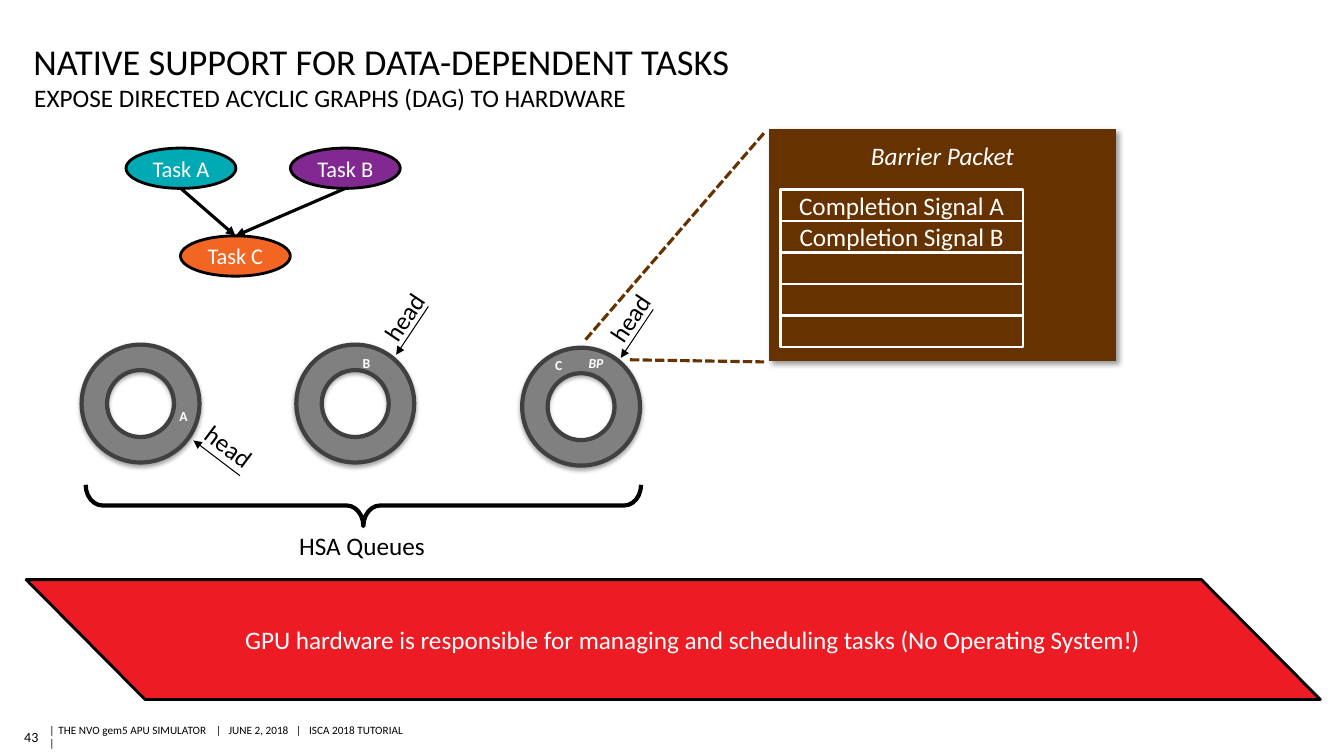
from lxml.etree import SubElement
from pptx import Presentation
from pptx.dml.color import RGBColor
from pptx.enum.dml import MSO_LINE
from pptx.enum.shapes import MSO_CONNECTOR, MSO_SHAPE
from pptx.enum.text import MSO_ANCHOR, MSO_AUTO_SIZE, PP_ALIGN
from pptx.oxml.ns import qn
from pptx.util import Pt

BLACK, WHITE, BROWN = "000000", "FFFFFF", "663300"
GREY, DARK_GREY, RED = "808080", "404040", "ED1C24"


def rgb(value):
    return RGBColor.from_string(value)


def put_text(sp, text, size=18, color=BLACK, bold=False, italic=False,
             align=PP_ALIGN.LEFT, anchor=MSO_ANCHOR.TOP,
             insets=(7.2, 3.6, 7.2, 3.6), wrap=True, tabs=()):
    tf = sp.text_frame
    tf.auto_size = MSO_AUTO_SIZE.NONE
    tf.word_wrap = wrap
    tf.vertical_anchor = anchor
    (tf.margin_left, tf.margin_top,
     tf.margin_right, tf.margin_bottom) = map(Pt, insets)
    p = tf.paragraphs[0]
    p.text = text
    p.alignment = align
    if tabs:
        tab_list = SubElement(p._p.get_or_add_pPr(), qn("a:tabLst"))
        for pos in tabs:
            SubElement(tab_list, qn("a:tab"), pos=str(Pt(pos)), algn="l")
    for r in p.runs:
        r.font.name = "Calibri"
        r.font.size = Pt(size)
        r.font.bold = bold
        r.font.italic = italic
        r.font.color.rgb = rgb(color)


class Deck:
    """Holds the style and the current slide."""

    def __init__(self, prs):
        self.slide = prs.slides.add_slide(prs.slide_layouts[5])
        self.shapes = self.slide.shapes

    def title(self, text, x, y, w, h, **fmt):
        sp = self.shapes.title
        sp.left, sp.top, sp.width, sp.height = map(Pt, (x, y, w, h))
        put_text(sp, text, **fmt)

    def text(self, text, x, y, w, h, rotation=0, **fmt):
        sp = self.shapes.add_textbox(*map(Pt, (x, y, w, h)))
        sp.rotation = rotation
        put_text(sp, text, **fmt)

    def shape(self, kind, x, y, w, h, fill=None, line=None, weight=2,
              adj=(), shadow=None, text=None, **fmt):
        sp = self.shapes.add_shape(kind, *map(Pt, (x, y, w, h)))
        sp.shadow.inherit = False
        if fill:
            sp.fill.solid()
            sp.fill.fore_color.rgb = rgb(fill)
        else:
            sp.fill.background()
        if line:
            sp.line.color.rgb = rgb(line)
            sp.line.width = Pt(weight)
        else:
            sp.line.fill.background()
        for i, value in enumerate(adj):
            sp.adjustments[i] = value
        if shadow:
            self.shadow(sp, *shadow)
        if text:
            put_text(sp, text, **fmt)
        return sp

    def shadow(self, sp, alpha, blur, dist, angle):
        effects = sp._element.spPr.find(qn("a:effectLst"))
        outer = SubElement(effects, qn("a:outerShdw"), blurRad=str(Pt(blur)),
                           dist=str(Pt(dist)), dir=str(angle * 60000),
                           rotWithShape="0")
        color = SubElement(outer, qn("a:srgbClr"), val=BLACK)
        SubElement(color, qn("a:alpha"), val=str(alpha * 1000))

    def line(self, start, end, color=BLACK, weight=0.75, dash=None, arrow=False):
        cn = self.shapes.add_connector(MSO_CONNECTOR.STRAIGHT,
                                       *map(Pt, (*start, *end)))
        cn.line.color.rgb = rgb(color)
        cn.line.width = Pt(weight)
        if dash:
            cn.line.dash_style = dash
        if arrow:
            SubElement(cn.line._get_or_add_ln(), qn("a:tailEnd"), type="triangle")
        SubElement(cn._element.spPr, qn("a:effectLst"))


def main():
    prs = Presentation()
    prs.slide_width, prs.slide_height = Pt(960), Pt(540)
    s = Deck(prs)
    centred = dict(color=WHITE, align=PP_ALIGN.CENTER, anchor=MSO_ANCHOR.MIDDLE)

    # Footer
    s.text("43", 15.8, 517, 11.6, 18.7, size=10, align=PP_ALIGN.RIGHT,
           anchor=MSO_ANCHOR.MIDDLE, insets=(0, 2.9, 0, 2.9), wrap=False)
    s.text("|\tTHE NVO gem5 APU SIMULATOR\t|\tJUNE 2, 2018\t|\tISCA 2018 TUTORIAL\v|",
           35.3, 517.7, 262, 16.6, size=8, anchor=MSO_ANCHOR.MIDDLE,
           insets=(0, 2.9, 0, 2.9), tabs=(6.5, 119.1, 128, 176.2, 185.5))

    # Headings
    s.title("NATIVE SUPPORT FOR DATA-DEPENDENT TASKS", 23.8, 21.6, 820.8, 37.4,
            size=26, anchor=MSO_ANCHOR.BOTTOM, insets=(0, 3.6, 0, 0))
    s.text("EXPOSE DIRECTED ACYCLIC GRAPHS (DAG) TO HARDWARE",
           24.5, 59, 820.8, 22.3, insets=(0, 0, 0, 0))

    # Barrier packet and its signal slots
    s.shape(MSO_SHAPE.RECTANGLE, 549.4, 92.2, 247.7, 165.6, fill=BROWN,
            shadow=(40, 4, 3, 45), text="Barrier Packet", color=WHITE,
            italic=True, align=PP_ALIGN.CENTER, insets=(7.2, 8, 7.2, 3.6))
    for start, end in (((418.3, 242.6), (545.8, 95)), ((450, 257), (545.8, 258.5))):
        s.line(start, end, BROWN, 2.25, MSO_LINE.SQUARE_DOT)
    slots = ("Completion Signal A", "Completion Signal B", None, None, None)
    for i, signal in enumerate(slots):
        s.shape(MSO_SHAPE.RECTANGLE, 557.3, 135.4 + 22.5 * i, 173.5, 22.5,
                line=WHITE, text=signal, **centred)

    # Queues
    for x, y in ((373, 248.4), (211.7, 246.2), (58.3, 246.2)):
        s.shape(MSO_SHAPE.DONUT, x, y, 84.2, 84.2, fill=GREY, line=DARK_GREY,
                weight=3, adj=[0.216], shadow=(35, 3.1, 1.8, 90))
    for label, x, y, w in (("C", 389.5, 251.3, 19.4), ("BP", 413.3, 249.8, 25.2),
                           ("B", 252, 249.8, 20.2), ("A", 121, 288, 20.2)):
        s.text(label, x, y, w, 19.4, size=9.8, color=WHITE, bold=True,
               italic=label == "BP", wrap=False)

    # Head pointers: arrow start, arrow end, label corner, label angle
    for start, end, corner, angle in (
            ((171.4, 339.8), (138.2, 314.6), (138.2, 304.6), 37),
            ((306, 218.9), (283, 253.4), (262.8, 211.7), 303.7),
            ((466.6, 221), (443.5, 255.6), (424.1, 212.4), 303.7)):
        s.line(start, end, arrow=True)
        s.text("head", *corner, 51.8, 28.8, rotation=angle, wrap=False)

    # Brace under the queues
    brace = s.shape(MSO_SHAPE.LEFT_BRACE, 244.8, 162.7, 29.5, 396.7,
                    line=BLACK, weight=3, adj=(0.406, 0.5))
    brace.rotation = 270
    s.text("HSA Queues", 206.6, 375.1, 105.1, 28.8, wrap=False)

    # Task graph
    for name, x, y, fill in (("Task A", 90, 105.8, "00AAB5"),
                             ("Task B", 207.4, 105.8, "812990"),
                             ("Task C", 128.9, 168.5, "F26522")):
        s.shape(MSO_SHAPE.OVAL, x, y, 78.5, 28.8, fill=fill, line=BLACK,
                text=name, size=16, insets=(0, 0, 0, 0), **centred)
    for x in (129.2, 246.6):
        s.line((x, 134.6), (168.2, 168.5), weight=2.25, arrow=True)

    # Takeaway banner
    banner = s.shape(MSO_SHAPE.PARALLELOGRAM, 18.7, 414, 924.5, 85.7, fill=RED,
                     line=BLACK, adj=[0.992], color=WHITE,
                     text="GPU hardware is responsible for managing and "
                          "scheduling tasks (No Operating System!)",
                     anchor=MSO_ANCHOR.MIDDLE, insets=(44, 3.6, 7.2, 3.6))
    banner._element.spPr.find(qn("a:xfrm")).set("flipH", "1")

    prs.save("out.pptx")


if __name__ == "__main__":
    main()
